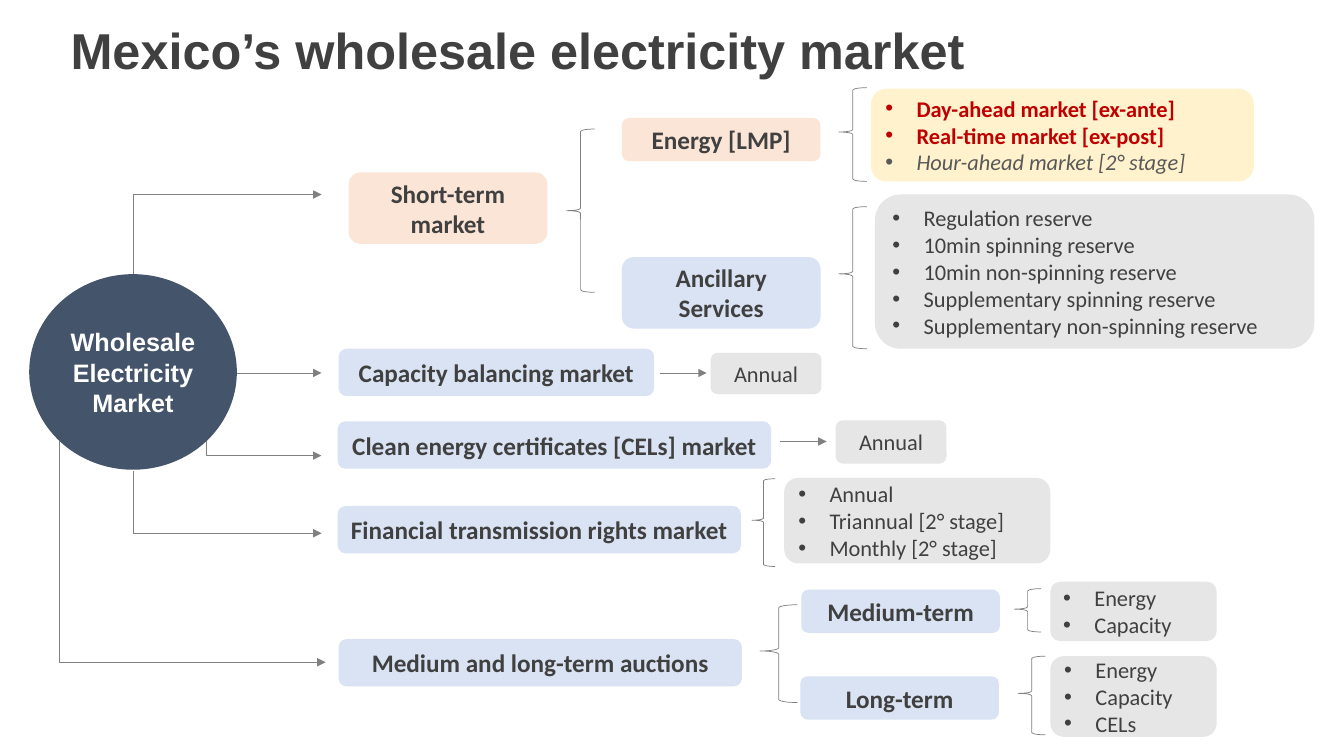
from pptx import Presentation
from pptx.dml.color import RGBColor as RGB
from pptx.enum.shapes import MSO_CONNECTOR as LINK, MSO_SHAPE as SHAPE
from pptx.enum.text import MSO_ANCHOR as ANCHOR, MSO_AUTO_SIZE as FIT, PP_ALIGN as ALIGN
from pptx.oxml.ns import qn
from pptx.util import Inches, Pt
from lxml.etree import SubElement as add_node

NAVY = RGB(0x44, 0x54, 0x6A)
PEACH = RGB(0xFB, 0xE5, 0xD6)
BLUE = RGB(0xDA, 0xE3, 0xF3)
CREAM = RGB(0xFF, 0xF2, 0xCC)
SILVER = RGB(0xE7, 0xE6, 0xE6)
INK = RGB(0x40, 0x40, 0x40)
SLATE = RGB(0x59, 0x59, 0x59)
RED = RGB(0xC0, 0x00, 0x00)
GRAY = RGB(0x80, 0x80, 0x80)
WHITE = RGB(0xFF, 0xFF, 0xFF)

CELL = Inches(0.1)
COLS, ROWS = 133.33, 75
GOAL = 31.9

HEAD = {"name": "Arial", "size": Pt(36), "bold": True}, INK
HUB = {"name": "Arial", "size": Pt(18), "bold": True}, WHITE
NAME = {"name": "Calibri", "size": Pt(18), "bold": True}, INK
PLAIN = {"name": "Calibri", "size": Pt(16), "bold": False}, INK
HOT = {"name": "Calibri", "size": Pt(16), "bold": True}, RED
LATER = {"name": "Calibri", "size": Pt(16), "bold": False, "italic": True}, SLATE

TITLE = "Mexico’s wholesale electricity market"
CORE = (2.9, 27.2, 20.6, 19.4)

MARKETS = [
    ("Short-term market", PEACH, (34.6, 17.1, 19.7, 7.1)),
    ("Energy [LMP]", PEACH, (61.7, 11.7, 19.7, 4.3)),
    ("Ancillary Services", BLUE, (61.7, 25.5, 19.7, 7.1)),
    ("Capacity balancing market", BLUE, (33.6, 34.6, 31.3, 4.7)),
    ("Clean energy certificates [CELs] market", BLUE, (33.5, 41.8, 43, 4.7)),
    ("Financial transmission rights market", BLUE, (33.5, 50.2, 40, 4.7)),
    ("Medium and long-term auctions", BLUE, (33.6, 63.4, 40, 4.7)),
    ("Medium-term", BLUE, (79.5, 58.5, 19.7, 4.3)),
    ("Long-term", BLUE, (79.4, 67.1, 19.7, 4.3)),
]
TERMS = [
    ("Annual", SILVER, (70.5, 35, 11, 4.1)),
    ("Annual", SILVER, (82.9, 41.7, 11, 4.3)),
]
LISTS = [
    (CREAM, (86.4, 8.8, 38, 9.2), [
        ("Day-ahead market [ex-ante]", HOT),
        ("Real-time market [ex-post]", HOT),
        ("Hour-ahead market [2° stage]", LATER)]),
    (SILVER, (86.8, 19.3, 43.6, 15.3), [
        ("Regulation reserve", PLAIN),
        ("10min spinning reserve", PLAIN),
        ("10min non-spinning reserve", PLAIN),
        ("Supplementary spinning reserve", PLAIN),
        ("Supplementary non-spinning reserve", PLAIN)]),
    (SILVER, (77.8, 47.4, 26.4, 8.5), [
        ("Annual", PLAIN),
        ("Triannual [2° stage]", PLAIN),
        ("Monthly [2° stage]", PLAIN)]),
    (SILVER, (104.2, 57.7, 16.5, 5.9), [
        ("Energy", PLAIN),
        ("Capacity", PLAIN)]),
    (SILVER, (104.2, 65.1, 16.5, 8), [
        ("Energy", PLAIN),
        ("Capacity", PLAIN),
        ("CELs", PLAIN)]),
]
BRACES = [
    (0.5, (56.2, 12.8, 2.8, 16.2)),
    (0.473, (83.2, 8.7, 2.8, 9.3)),
    (0.473, (83.2, 20.5, 2.8, 14.1)),
    (0.473, (74.6, 47.5, 2.3, 8.7)),
    (0.473, (75.4, 60, 3.7, 9.7)),
    (0.473, (100.6, 58.4, 2.7, 4.3)),
    (0.473, (101, 65.1, 2.7, 7.8)),
]
BENDS = [
    (13.2, 27.2, GOAL, 19.3),
    (20.45, 42.4, GOAL, 45.2),
    (13.2, 46.7, GOAL, 52.9),
    (5.9, 43.8, 32.3, 65.7),
]
RUNS = [
    (23.5, 37, GOAL, 37),
    (65.5, 37, 70.1, 37),
    (77.4, 43.8, 82, 43.8),
]


def scale(cells):
    return [round(n * CELL) for n in cells]


def write(par, text, style):
    run = par.add_run()
    run.text = text
    looks, color = style
    for key, value in looks.items():
        setattr(run.font, key, value)
    run.font.color.rgb = color


def add_form(slide, kind, area, fill=None):
    form = slide.shapes.add_shape(kind, *scale(area))
    form.shadow.inherit = False
    if fill is None:
        form.fill.background()
        form.line.color.rgb = GRAY
        form.line.width = Pt(0.5)
    else:
        form.fill.solid()
        form.fill.fore_color.rgb = fill
        form.line.fill.background()
    return form


def add_label(slide, kind, area, fill, text, style):
    frame = add_form(slide, kind, area, fill).text_frame
    frame.word_wrap = True
    frame.vertical_anchor = ANCHOR.MIDDLE
    par = frame.paragraphs[0]
    par.alignment = ALIGN.CENTER
    write(par, text, style)


def add_list(slide, area, fill, items):
    frame = add_form(slide, SHAPE.ROUNDED_RECTANGLE, area, fill).text_frame
    frame.word_wrap = True
    frame.vertical_anchor = ANCHOR.MIDDLE
    for i, (text, style) in enumerate(items):
        par = frame.add_paragraph() if i else frame.paragraphs[0]
        par.alignment = ALIGN.LEFT
        props = par._p.get_or_add_pPr()
        props.set("marL", str(Inches(0.31)))
        props.set("indent", str(-Inches(0.31)))
        add_node(props, qn("a:buFont"), typeface="Arial")
        add_node(props, qn("a:buChar"), char="•")
        write(par, text, style)


def add_arrow(slide, kind, ends):
    arrow = slide.shapes.add_connector(kind, *scale(ends))
    arrow.line.color.rgb = GRAY
    arrow.line.width = Pt(0.5)
    props = arrow._element.spPr
    add_node(props.find(qn("a:ln")), qn("a:tailEnd"), type="triangle")
    add_node(props, qn("a:effectLst"))
    if kind == LINK.ELBOW:
        guides = props.find(qn("a:prstGeom")).find(qn("a:avLst"))
        add_node(guides, qn("a:gd"), name="adj1", fmla="val 0")


def add_title(slide):
    title = slide.shapes.title
    places = scale((6, 1.4, 91.6, 7.1))
    for key, value in zip(("left", "top", "width", "height"), places):
        setattr(title, key, value)
    frame = title.text_frame
    looks = {"word_wrap": False, "auto_size": FIT.SHAPE_TO_FIT_TEXT,
             "vertical_anchor": ANCHOR.TOP}
    for key, value in looks.items():
        setattr(frame, key, value)
    frame.paragraphs[0].alignment = ALIGN.LEFT
    write(frame.paragraphs[0], TITLE, HEAD)


def main():
    deck = Presentation()
    deck.slide_width, deck.slide_height = scale((COLS, ROWS))
    slide = deck.slides.add_slide(deck.slide_layouts[5])
    add_title(slide)
    for kind, group in ((LINK.ELBOW, BENDS), (LINK.STRAIGHT, RUNS)):
        for ends in group:
            add_arrow(slide, kind, ends)
    add_label(slide, SHAPE.OVAL, CORE, NAVY, "Wholesale Electricity Market", HUB)
    for style, group in ((NAME, MARKETS), (PLAIN, TERMS)):
        for text, fill, area in group:
            add_label(slide, SHAPE.ROUNDED_RECTANGLE, area, fill, text, style)
    for middle, area in BRACES:
        brace = add_form(slide, SHAPE.LEFT_BRACE, area)
        brace.adjustments[1] = middle
    for fill, area, items in LISTS:
        add_list(slide, area, fill, items)
    deck.save("out.pptx")


if __name__ == "__main__":
    main()
